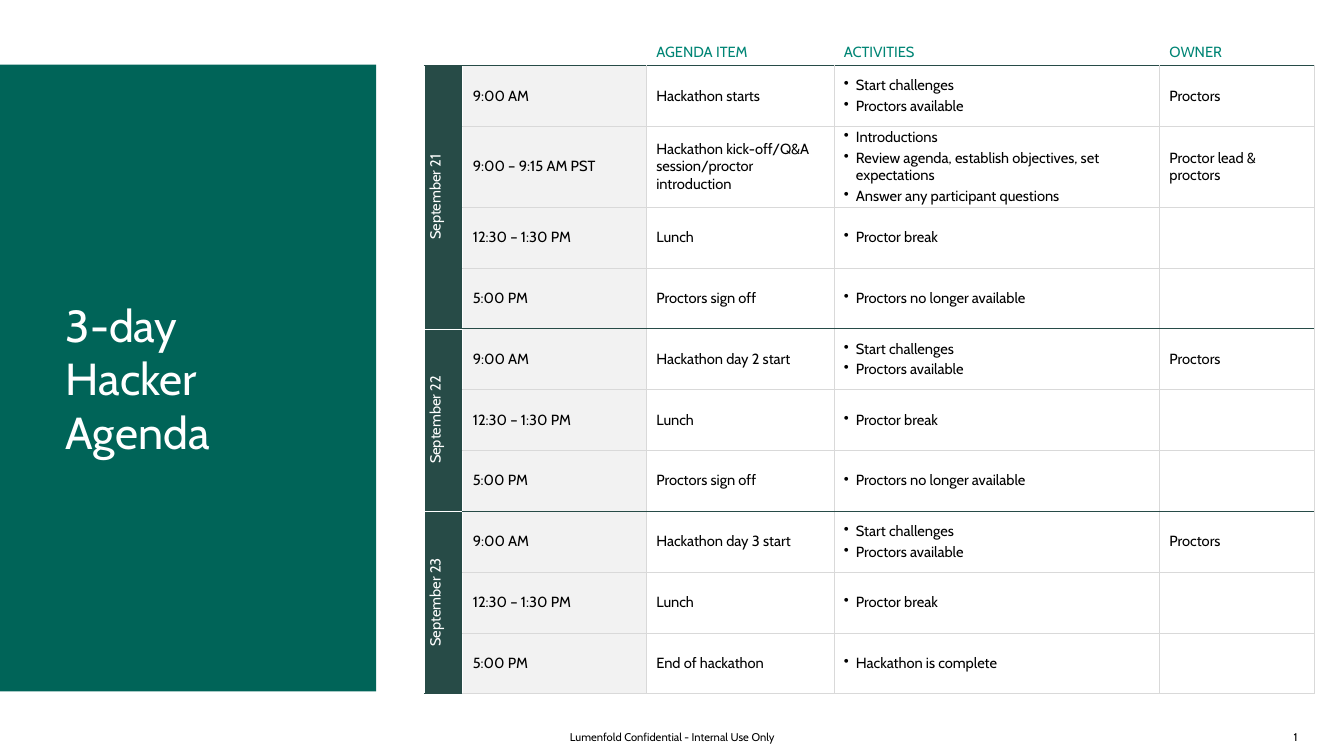
from lxml import etree
from pptx import Presentation
from pptx.dml.color import RGBColor
from pptx.enum import text
from pptx.oxml import ns
from pptx.util import Inches, Pt

FONT = "Cabin"
WHITE = RGBColor(0xFF, 0xFF, 0xFF)
BLACK = RGBColor(0, 0, 0)
GREEN = RGBColor(0x00, 0x64, 0x58)
TEAL = RGBColor(0x00, 0x85, 0x75)
DARK = RGBColor(0x27, 0x4B, 0x47)
PALE = RGBColor(0xF2, 0xF2, 0xF2)
GRID = RGBColor(0xD9, 0xD9, 0xD9)

HEADERS = ["", "", "AGENDA ITEM", "ACTIVITIES", "OWNER"]
START = ["Start challenges", "Proctors available"]
LUNCH = ("12:30 – 1:30 PM", "Lunch", ["Proctor break"], "")
SIGN_OFF = ("5:00 PM", "Proctors sign off", ["Proctors no longer available"], "")
DAYS = {
    "September 21": [
        ("9:00 AM", "Hackathon starts", START, "Proctors"),
        ("9:00 – 9:15 AM PST",
         "Hackathon kick-off/Q&A session/proctor introduction",
         ["Introductions",
          "Review agenda, establish objectives, set expectations",
          "Answer any participant questions"],
         "Proctor lead & proctors"),
        LUNCH,
        SIGN_OFF,
    ],
    "September 22": [
        ("9:00 AM", "Hackathon day 2 start", START, "Proctors"),
        LUNCH,
        SIGN_OFF,
    ],
    "September 23": [
        ("9:00 AM", "Hackathon day 3 start", START, "Proctors"),
        LUNCH,
        ("5:00 PM", "End of hackathon", ["Hackathon is complete"], ""),
    ],
}

COLUMN_WIDTHS = [0.38, 1.82, 1.86, 3.23, 1.53]
TABLE_HEIGHT, HEADER_HEIGHT, KICKOFF_HEIGHT = 6.5, 0.27, 0.8
KICKOFF_ROW = 2


def set_font(paragraph, size, color):
    font = paragraph.font
    font.name, font.size, font.bold = FONT, Pt(size), False
    font.color.rgb = color


def set_margins(frame, left=0, right=0):
    frame.margin_left, frame.margin_right = Inches(left), Inches(right)
    frame.margin_top = frame.margin_bottom = 0
    frame.vertical_anchor = text.MSO_ANCHOR.MIDDLE
    frame.word_wrap = True


def add_title(slide):
    title = slide.shapes.title
    title.left, title.top = Inches(0), Inches(0.64)
    title.width, title.height = Inches(3.73), Inches(6.22)
    title.fill.solid()
    title.fill.fore_color.rgb = GREEN
    frame = title.text_frame
    frame.auto_size = text.MSO_AUTO_SIZE.NONE
    set_margins(frame, 0.65, 0.2)
    frame.text = "3-day\vHacker\nAgenda"
    for paragraph in frame.paragraphs:
        paragraph.alignment = text.PP_ALIGN.LEFT
        set_font(paragraph, 32, WHITE)


def add_footer(slide, left, width, words):
    box = slide.shapes.add_textbox(Inches(left), Inches(7.25), Inches(width), Inches(0.13))
    set_margins(box.text_frame)
    paragraph = box.text_frame.paragraphs[0]
    paragraph.text = words
    paragraph.alignment = text.PP_ALIGN.CENTER
    set_font(paragraph, 8, BLACK)


def add_bullet(paragraph):
    properties = paragraph._p.get_or_add_pPr()
    properties.set("marL", str(Inches(0.12)))
    properties.set("indent", str(-Inches(0.12)))
    bullet = etree.Element(ns.qn("a:buChar"), char="•")
    properties.find(ns.qn("a:defRPr")).addprevious(bullet)


def set_borders(cell, **borders):
    """Each border is a (colour, points) pair, keyed L, R, T or B."""
    properties = cell._tc.get_or_add_tcPr()
    for side in "LRTB":
        if side in borders:
            color, points = borders[side]
            line = etree.SubElement(properties, ns.qn(f"a:ln{side}"), w=str(Pt(points)))
            fill = etree.SubElement(line, ns.qn("a:solidFill"))
            etree.SubElement(fill, ns.qn("a:srgbClr"), val=str(color))


def fill_cell(cell, words, color=BLACK, background=None, bullets=False):
    cell.margin_left = cell.margin_right = Inches(0.1)
    cell.margin_top = cell.margin_bottom = Inches(0.02)
    cell.vertical_anchor = text.MSO_ANCHOR.MIDDLE
    if background is None:
        cell.fill.background()
    else:
        cell.fill.solid()
        cell.fill.fore_color.rgb = background
    cell.text = words
    for paragraph in cell.text_frame.paragraphs:
        paragraph.space_before = paragraph.space_after = Pt(1)
        set_font(paragraph, 10.5, color)
        if bullets:
            add_bullet(paragraph)
        if not words:
            # Keeps empty cells from stretching their row
            etree.SubElement(paragraph._p, ns.qn("a:endParaRPr"), sz="1050")


def add_day(table, first_row, day, sessions):
    last_row = first_row + len(sessions) - 1
    is_last_day = last_row == len(table.rows) - 1
    thin, strong = (GRID, 0.25), (DARK, 1)

    # Rotated date beside the sessions
    date = table.cell(first_row, 0)
    date.merge(table.cell(last_row, 0))
    top = (DARK, 1.5) if first_row == 1 else (WHITE, 0.25)
    set_borders(date, T=top, B=(DARK if is_last_day else WHITE, 0.25))
    fill_cell(date, day, WHITE, DARK)
    date.text_frame.paragraphs[0].alignment = text.PP_ALIGN.CENTER
    date._tc.get_or_add_tcPr().set("vert", "vert270")

    # Sessions, with a strong line between days
    for row, (time, item, activities, owner) in enumerate(sessions, first_row):
        contents = [time, item, "\n".join(activities), owner]
        for column, words in enumerate(contents, 1):
            cell = table.cell(row, column)
            borders = {
                "R": thin,
                "T": strong if row == first_row else thin,
                "B": strong if row == last_row and not is_last_day else thin,
            }
            if column > 1:
                borders["L"] = thin
            set_borders(cell, **borders)
            fill_cell(cell, words, background=PALE if column == 1 else WHITE,
                      bullets=column == 3)


def add_agenda(slide):
    session_count = sum(len(sessions) for sessions in DAYS.values())
    frame = slide.shapes.add_table(
        session_count + 1, len(HEADERS), Inches(4.21), Inches(0.38),
        Inches(sum(COLUMN_WIDTHS)), Inches(TABLE_HEIGHT))
    table = frame.table
    table.first_row = table.horz_banding = False
    for column, width in zip(table.columns, COLUMN_WIDTHS):
        column.width = Inches(width)
    shared_height = TABLE_HEIGHT - HEADER_HEIGHT - KICKOFF_HEIGHT
    for row in table.rows:
        row.height = Inches(shared_height / (session_count - 1))
    table.rows[0].height = Inches(HEADER_HEIGHT)
    table.rows[KICKOFF_ROW].height = Inches(KICKOFF_HEIGHT)

    # Column headings
    for column, heading in enumerate(HEADERS):
        cell = table.cell(0, column)
        set_borders(cell, B=(DARK, 1 if column else 1.5))
        fill_cell(cell, heading, TEAL)

    # Days
    first_row = 1
    for day, sessions in DAYS.items():
        add_day(table, first_row, day, sessions)
        first_row += len(sessions)


def main():
    presentation = Presentation()
    presentation.slide_width = Inches(13.33)
    presentation.slide_height = Inches(7.5)
    slide = presentation.slides.add_slide(presentation.slide_layouts[5])
    add_agenda(slide)
    add_footer(slide, 4.42, 4.5, "Lumenfold Confidential - Internal Use Only")
    add_footer(slide, 12.73, 0.24, "1")
    add_title(slide)
    presentation.save("out.pptx")


if __name__ == "__main__":
    main()
